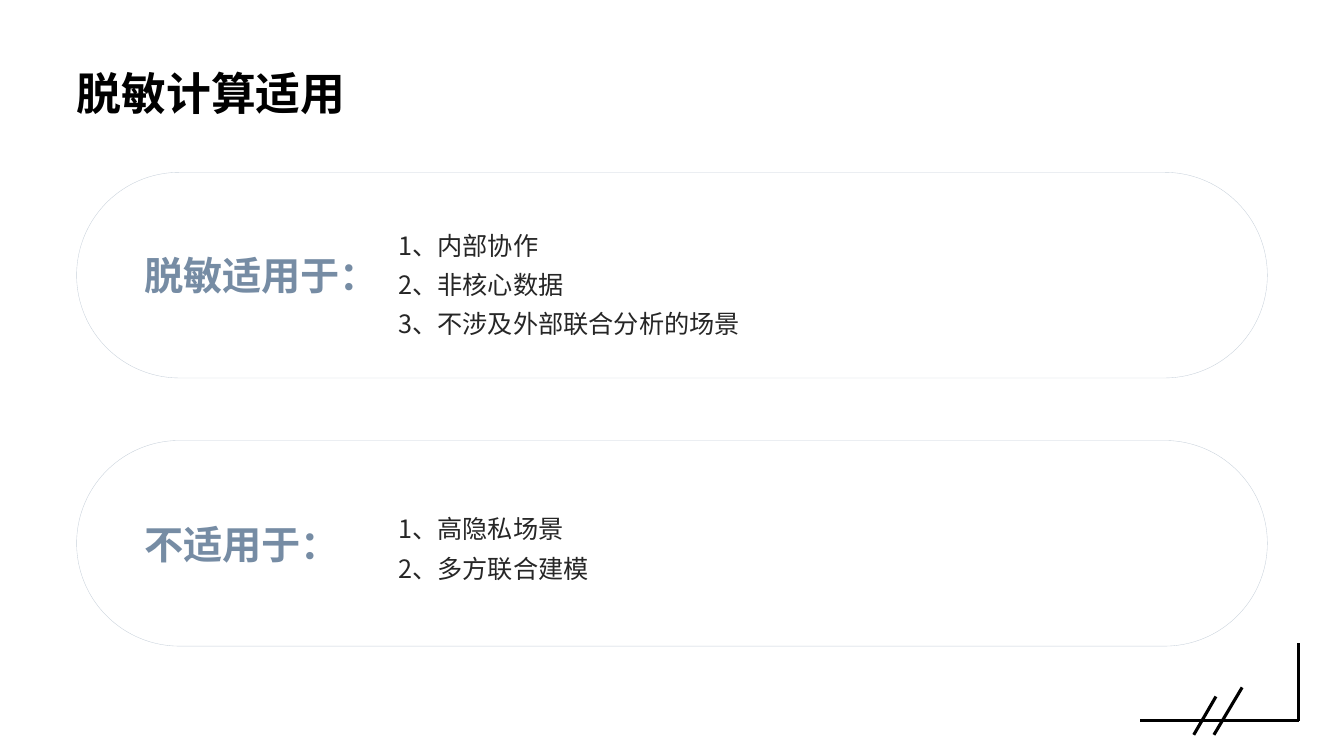
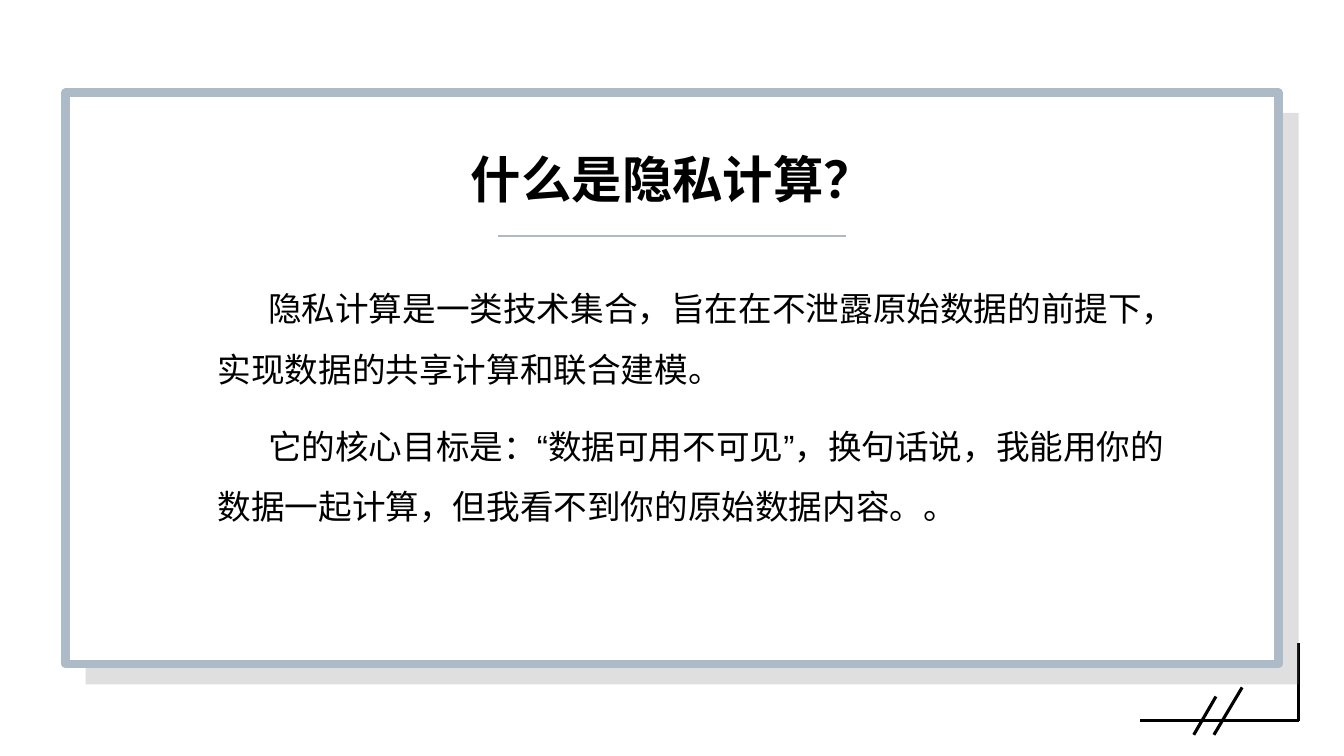
from lxml import etree
from pptx import Presentation
from pptx.dml.color import RGBColor
from pptx.enum.shapes import MSO_CONNECTOR, MSO_SHAPE
from pptx.enum.text import MSO_ANCHOR, PP_ALIGN
from pptx.oxml.ns import qn
from pptx.util import Inches, Pt

RECTANGLE = MSO_SHAPE.RECTANGLE
PILL = MSO_SHAPE.ROUNDED_RECTANGLE
STRAIGHT = MSO_CONNECTOR.STRAIGHT
TOP, MIDDLE, BOTTOM = MSO_ANCHOR.TOP, MSO_ANCHOR.MIDDLE, MSO_ANCHOR.BOTTOM
LEFT, CENTER = PP_ALIGN.LEFT, PP_ALIGN.CENTER

BLACK, WHITE, GRAY = "000000", "FFFFFF", "808080"
INK, SLATE, STEEL, MIST = "262626", "768CA4", "ADBAC8", "C8D1DB"
LATIN, CJK = "Arial", "Noto Sans CJK SC"

CORNER_MARK = [
    (11.31, 7.15, 12.88, 7.15),
    (12.06, 6.91, 11.84, 7.29),
    (12.32, 6.82, 12.04, 7.29),
    (12.88, 7.15, 12.88, 6.38),
]
PILL_LEFT, PILL_WIDTH, PILL_HEIGHT = 0.76, 11.81, 2.04
FRAME_LEFT, FRAME_TOP, FRAME_WIDTH, FRAME_HEIGHT = 0.65, 0.92, 12.03, 5.67
FRAME_OFFSET = 0.2


def rgb(value):
    return RGBColor.from_string(value)


def apply(target, formats):
    for name, value in formats.items():
        setattr(target, name, value)


def add_line(slide, ends, color, weight):
    line = slide.shapes.add_connector(STRAIGHT, *map(Inches, ends))
    line.line.color.rgb = rgb(color)
    line.line.width = Pt(weight)
    etree.SubElement(line._element.spPr, qn("a:effectLst"))


def add_panel(slide, kind, box, fill, line=None, weight=0, opacity=100):
    panel = slide.shapes.add_shape(kind, *map(Inches, box))
    panel.shadow.inherit = False
    panel.fill.solid()
    panel.fill.fore_color.rgb = rgb(fill)
    if opacity < 100:
        tone = panel._element.spPr.find(qn("a:solidFill"))[0]
        etree.SubElement(tone, qn("a:alpha"), val=str(opacity * 1000))
    if line:
        panel.line.color.rgb = rgb(line)
        panel.line.width = Pt(weight)
    else:
        panel.line.fill.background()
    return panel


def add_text(slide, box, lines, size, color, font, bold=False, anchor=MIDDLE,
             inset=(0, 0), indent=0, **spacing):
    frame = slide.shapes.add_textbox(*map(Inches, box)).text_frame
    side, edge = map(Inches, inset)
    apply(frame, {
        "word_wrap": True, "vertical_anchor": anchor,
        "margin_left": side, "margin_right": side,
        "margin_top": edge, "margin_bottom": edge,
    })
    for number, line in enumerate(lines):
        paragraph = frame.add_paragraph() if number else frame.paragraphs[0]
        apply(paragraph, spacing)
        if indent:
            properties = paragraph._p.get_or_add_pPr()
            for name in ("marL", "indent"):
                properties.set(name, str(Inches(indent)))
        run = paragraph.add_run()
        run.text = line
        apply(run.font, {"size": Pt(size), "bold": bold, "name": font})
        run.font.color.rgb = rgb(color)
        etree.SubElement(run._r.get_or_add_rPr(), qn("a:ea"), typeface=font)


def add_title(slide, box, title, size, alignment=LEFT):
    add_text(slide, box, [title], size, BLACK, LATIN, bold=True,
             anchor=BOTTOM, alignment=alignment)


def add_base_slide(deck):
    slide = deck.slides.add_slide(deck.slide_layouts[6])
    for ends in CORNER_MARK:
        add_line(slide, ends, BLACK, 2.25)
    return slide


def add_use_case(slide, top, label, items, items_top):
    pill = add_panel(slide, PILL, (PILL_LEFT, top, PILL_WIDTH, PILL_HEIGHT),
                     WHITE, MIST, 0.25)
    pill.adjustments[0] = 0.5
    add_text(slide, (1.43, top + 0.26, 2.37, 1.52), [label], 28, SLATE, CJK,
             bold=True)
    add_text(slide, (3.95, items_top, 7.49, 1.17), items, 18, INK, CJK,
             line_spacing=1.3)


def build_use_cases(deck):
    slide = add_base_slide(deck)
    add_title(slide, (PILL_LEFT, 0.39, PILL_WIDTH, 0.79), "脱敏计算适用", 32)
    add_use_case(slide, 1.71, "脱敏适用于：",
                 ["1、内部协作", "2、非核心数据", "3、不涉及外部联合分析的场景"], 2.19)
    add_use_case(slide, 4.37, "不适用于：",
                 ["1、高隐私场景", "2、多方联合建模"], 4.81)


def build_definition(deck):
    slide = add_base_slide(deck)
    size = (FRAME_WIDTH, FRAME_HEIGHT)
    add_panel(slide, RECTANGLE,
              (FRAME_LEFT + FRAME_OFFSET, FRAME_TOP + FRAME_OFFSET, *size),
              GRAY, opacity=25)
    add_panel(slide, RECTANGLE, (FRAME_LEFT, FRAME_TOP, *size), WHITE, STEEL, 6)
    add_line(slide, (4.94, 2.34, 8.39, 2.34), STEEL, 1.5)
    add_title(slide, (0.99, 1.24, 11.36, 0.83), "什么是隐私计算？", 36, CENTER)
    add_text(slide, (1.56, 2.61, 10.22, 3.7), [
        "隐私计算是一类技术集合，旨在在不泄露原始数据的前提下，实现数据的共享计算和联合建模。",
        "它的核心目标是：“数据可用不可见”，换句话说，我能用你的数据一起计算，但我看不到你的原始数据内容。。",
    ], 24, BLACK, LATIN, anchor=TOP, inset=(0.1, 0.05), indent=0.5,
        line_spacing=1.5, space_after=Pt(12))


def main():
    deck = Presentation()
    apply(deck, {"slide_width": Inches(13.33), "slide_height": Inches(7.5)})
    build_use_cases(deck)
    build_definition(deck)
    deck.save("out.pptx")


if __name__ == "__main__":
    main()
